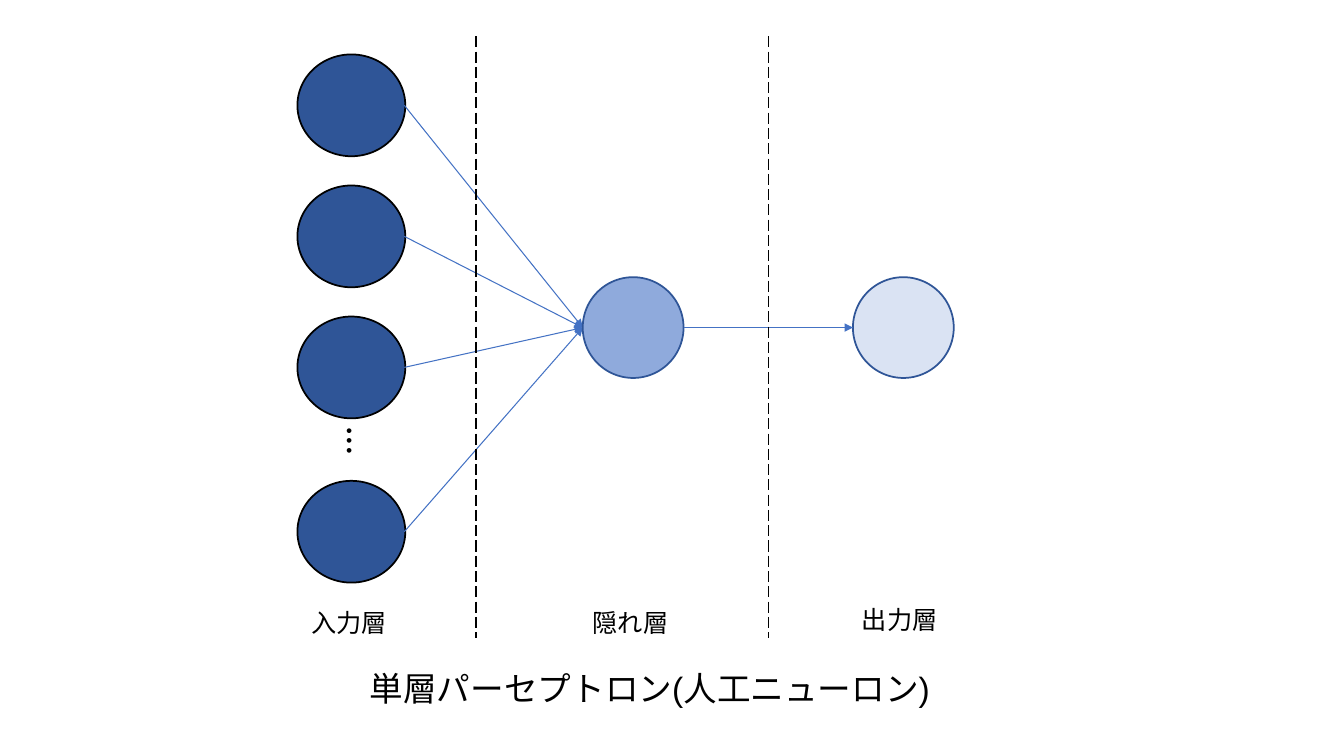
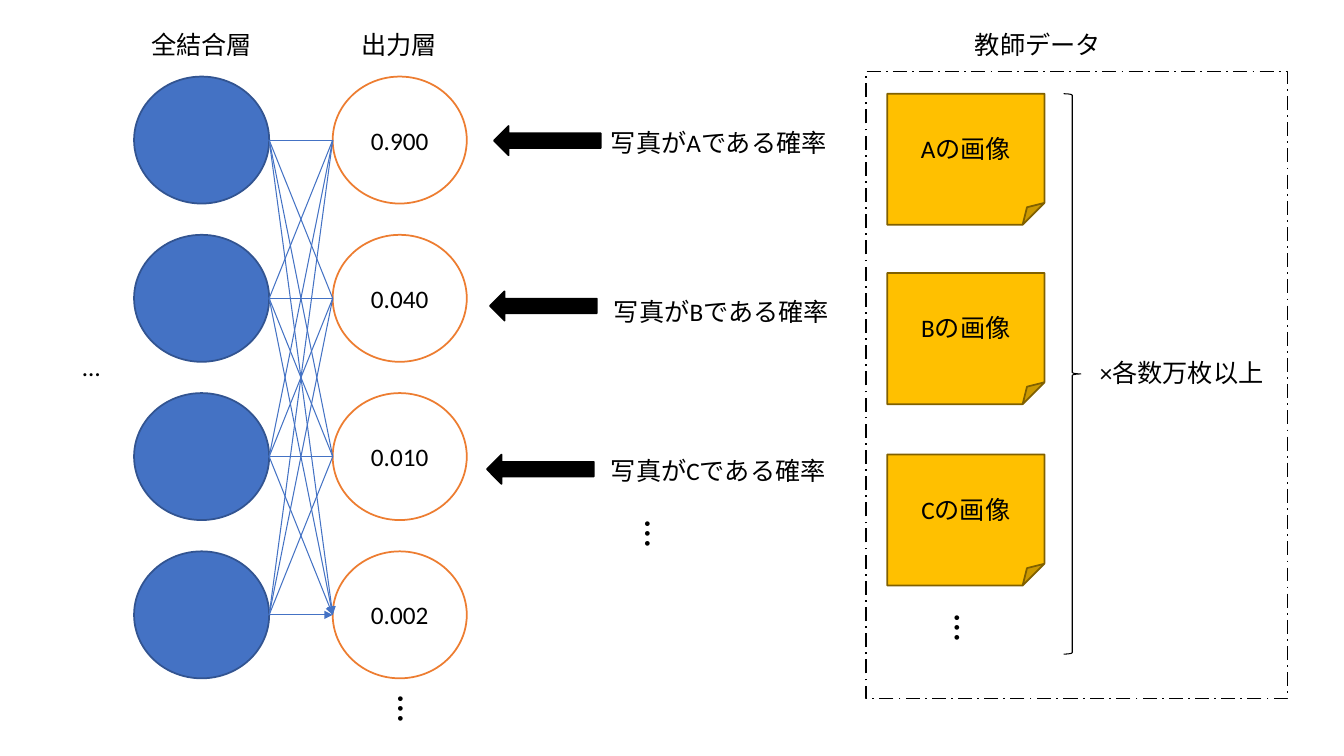
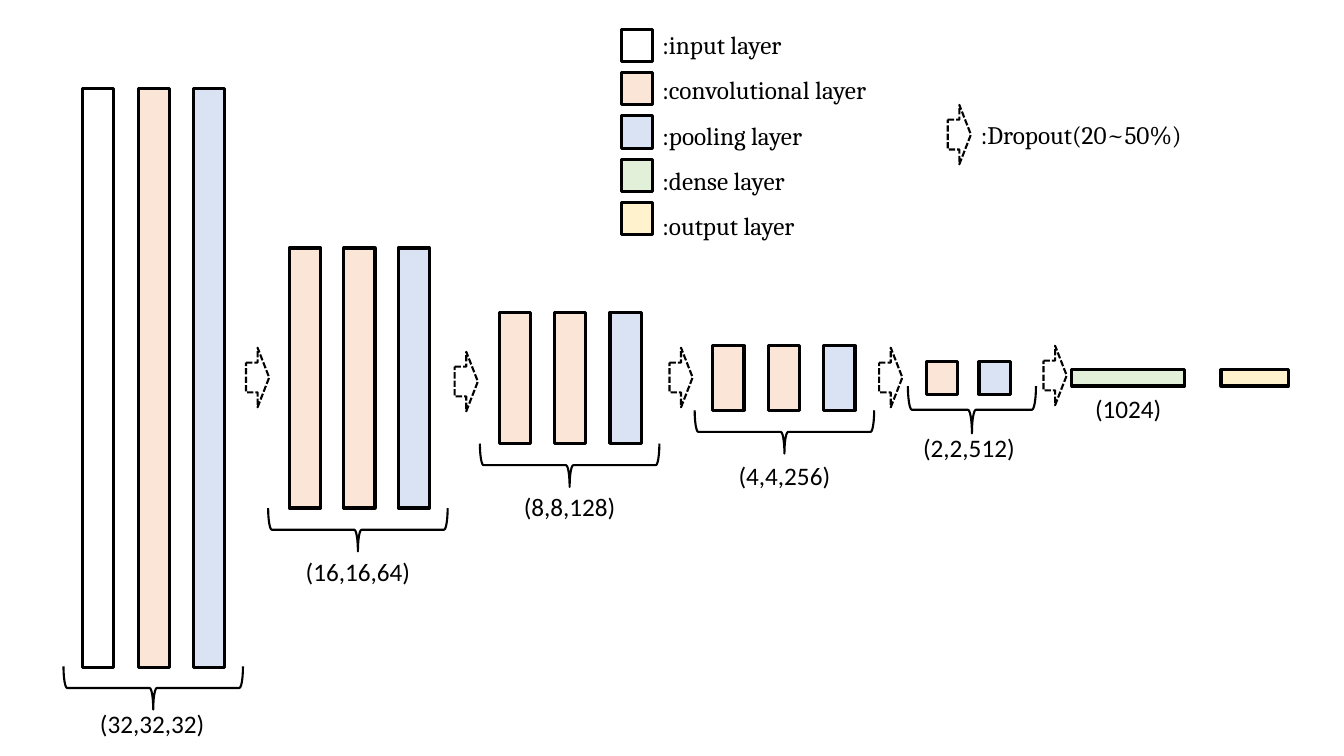
from lxml.etree import SubElement
from pptx import Presentation
from pptx.dml.color import RGBColor
from pptx.enum.dml import MSO_LINE as Dash
from pptx.enum.shapes import MSO_CONNECTOR, MSO_SHAPE as Shape
from pptx.enum.text import MSO_ANCHOR as Anchor, MSO_AUTO_SIZE, PP_ALIGN as Align
from pptx.oxml.ns import qn
from pptx.util import Pt

PX = 9144
BLACK, WHITE, BLUE, NAVY = "000000", "FFFFFF", "4472C4", "2F5597"
PEACH, PALE_BLUE, GREEN, YELLOW = "FBE5D6", "DAE3F3", "E2F0D9", "FFF2CC"
ASIAN_FONT = "Noto Sans CJK JP"

CAPTION = "単層パーセプトロン(人工ニューロン)"
INPUT_TOPS = [54, 184, 314, 477]
LAYER_NAMES = [("入力層", 299, 598), ("隠れ層", 578, 598), ("出力層", 845, 595)]
DIVIDERS = [472, 762]

PROBABILITIES = ["0.900", "0.040", "0.010", "0.002"]
ANSWERS = [
    ("写真がAである確率", 596, 121, 490, 125),
    ("写真がBである確率", 599, 289, 486, 289),
    ("写真がCである確率", 596, 447, 483, 451),
]
TEACHER_IMAGES = [("Aの画像", 93), ("Bの画像", 271), ("Cの画像", 451)]
MORE_MARKS = [(386, 676), (631, 503), (938, 596)]

STAGES = [
    dict(label="(32,32,32)", middle=151, label_top=698, left=82, step=55, height=574,
         fills=[WHITE, PEACH, PALE_BLUE], brace=(152, 661, 178, 43)),
    dict(label="(16,16,64)", middle=355, label_top=547, left=287, step=54, height=258,
         fills=[PEACH, PEACH, PALE_BLUE], brace=(355, 504, 178, 43)),
    dict(label="(8,8,128)", middle=565, label_top=483, left=495, step=55, height=130,
         fills=[PEACH, PEACH, PALE_BLUE], brace=(565, 440, 178, 43)),
    dict(label="(4,4,256)", middle=778, label_top=452, left=707, step=55, height=64,
         fills=[PEACH, PEACH, PALE_BLUE], brace=(778, 407, 178, 43)),
    dict(label="(2,2,512)", middle=961, label_top=424, left=919, step=52, height=32,
         fills=[PEACH, PALE_BLUE], brace=(964, 383, 127, 47)),
]
FLAT_LAYERS = [(1063, 112, GREEN), (1211, 67, YELLOW)]
DENSE_LABEL = ("(1024)", 1119, 385)
LEGEND = [
    (":input layer", WHITE), (":convolutional layer", PEACH), (":pooling layer", PALE_BLUE),
    (":dense layer", GREEN), (":output layer", YELLOW),
]
DROPOUT_LABEL = ":Dropout(20~50%)"
DROPOUTS = [(244, 345), (451, 349), (664, 345), (872, 345), (1035, 343), (940, 104)]
MID_Y, BAR_WIDTH = 375, 31


def px(*lengths):
    return [round(length * PX) for length in lengths]


def colour(value):
    return RGBColor.from_string(value)


def style_line(line, value, width, dash=None):
    line.color.rgb = colour(value)
    line.width = Pt(width)
    if dash:
        line.dash_style = dash


def write(frame, lines, size=18, font="Calibri", align=Align.LEFT, spacing=None):
    for i, words in enumerate(lines):
        paragraph = frame.paragraphs[0] if i == 0 else frame.add_paragraph()
        paragraph.alignment = align
        if spacing:
            paragraph.line_spacing = spacing
        run = paragraph.add_run()
        run.text = words
        run.font.size = Pt(size)
        run.font.name = font
        run.font.color.rgb = colour(BLACK)
        SubElement(run.font._element, qn("a:ea"), typeface=ASIAN_FONT)


def shape(slide, kind, box, fill, line, width=1.25, dash=None, words=None, turn=0):
    item = slide.shapes.add_shape(kind, *px(*box))
    item.shadow.inherit = False
    item.rotation = turn
    if fill:
        item.fill.solid()
        item.fill.fore_color.rgb = colour(fill)
    else:
        item.fill.background()
    style_line(item.line, line, width, dash)
    if words:
        item.text_frame.vertical_anchor = Anchor.MIDDLE
        write(item.text_frame, [words], align=Align.CENTER)
    return item


def label(slide, box, *lines, turn=0, anchor=Anchor.TOP, **style):
    item = slide.shapes.add_textbox(*px(*box))
    item.rotation = turn
    frame = item.text_frame
    frame.word_wrap = True
    frame.auto_size = MSO_AUTO_SIZE.SHAPE_TO_FIT_TEXT
    frame.vertical_anchor = anchor
    write(frame, lines, **style)


def connect(slide, start, end, value=BLUE, width=0.75, dash=None, arrow=False):
    item = slide.shapes.add_connector(MSO_CONNECTOR.STRAIGHT, *px(*start, *end))
    style_line(item.line, value, width, dash)
    if arrow:
        SubElement(item.line._get_or_add_ln(), qn("a:tailEnd"), type="triangle")
    SubElement(item._element.spPr, qn("a:effectLst"))


def perceptron(slide):
    for top in INPUT_TOPS:
        shape(slide, Shape.OVAL, (295, top, 107, 101), NAVY, BLACK)
        connect(slide, (401, top + 50.5), (578, 325), arrow=True)
    for left, fill in [(578, "8FAADC"), (846, PALE_BLUE)]:
        shape(slide, Shape.OVAL, (left, 275, 100, 100), fill, NAVY)
    connect(slide, (678, 325), (846, 325), arrow=True)
    for x in DIVIDERS:
        connect(slide, (x, 36), (x, 633), BLACK, 1, Dash.LONG_DASH)
    for name, left, top in LAYER_NAMES:
        label(slide, (left, top, 103, 40), name, font=ASIAN_FONT)
    label(slide, (328, 417, 63, 57), "…", turn=90, size=28)
    label(slide, (277, 658, 735, 50), CAPTION, size=24, font="Arial", align=Align.CENTER)


def classifier(slide):
    shape(slide, Shape.RECTANGLE, (859, 71, 418, 622), WHITE, BLACK, dash=Dash.LONG_DASH_DOT)
    label(slide, (118, 24, 164, 40), "全結合層", align=Align.CENTER)
    label(slide, (339, 24, 114, 40), "出力層", align=Align.CENTER)
    label(slide, (957, 24, 164, 40), "教師データ")
    label(slide, (72, 344, 61, 40), "…")

    tops = [76 + 157 * row for row in range(len(PROBABILITIES))]
    for top, probability in zip(tops, PROBABILITIES):
        shape(slide, Shape.OVAL, (133, top, 134, 126), BLUE, "325491")
        shape(slide, Shape.OVAL, (330, top, 133, 126), WHITE, "ED7D31", words=probability)
    for start in tops:
        for end in tops:
            connect(slide, (267, start + 63), (330, end + 63), arrow=end == tops[-1])

    for answer, left, top, arrow_left, arrow_top in ANSWERS:
        shape(slide, Shape.LEFT_ARROW, (arrow_left, arrow_top, 106, 29), BLACK, BLACK)
        label(slide, (left, top, 239, 40), answer)
    for name, top in TEACHER_IMAGES:
        shape(slide, Shape.FOLDED_CORNER, (880, top, 156, 130), "FFC000", "806000", words=name)
    shape(slide, Shape.RIGHT_BRACE, (1055, 93, 17, 556), None, BLACK, 0.75)
    label(slide, (1081, 350, 219, 40), "×各数万枚以上")
    for left, top in MORE_MARKS:
        label(slide, (left, top, 49, 57), "…", turn=90, anchor=Anchor.MIDDLE, size=28)


def network(slide):
    def layer(left, top, width, height, fill):
        shape(slide, Shape.RECTANGLE, (left, top, width, height), fill, BLACK, 2.25)

    def size_label(words, middle, top):
        label(slide, (middle - 104, top, 208, 40), words, align=Align.CENTER)

    for stage in STAGES:
        height = stage["height"]
        for i, fill in enumerate(stage["fills"]):
            layer(stage["left"] + i * stage["step"], MID_Y - height / 2, BAR_WIDTH, height, fill)
        middle, top, length, depth = stage["brace"]
        box = (middle - depth / 2, top + depth / 2 - length / 2, depth, length)
        shape(slide, Shape.LEFT_BRACE, box, None, BLACK, 1.5, turn=270)
        size_label(stage["label"], stage["middle"], stage["label_top"])
    for left, width, fill in FLAT_LAYERS:
        layer(left, MID_Y - 8, width, 16, fill)
    size_label(*DENSE_LABEL)

    for i, (_, fill) in enumerate(LEGEND):
        layer(616, 29 + 43 * i, BAR_WIDTH, 32, fill)
    label(slide, (647, 9, 262, 233), *[name for name, _ in LEGEND], font="Cambria", spacing=1.5)
    for left, top in DROPOUTS:
        shape(slide, Shape.RIGHT_ARROW, (left, top, 23, 59), WHITE, BLACK, 1.5, Dash.SQUARE_DOT)
    label(slide, (963, 113, 303, 40), DROPOUT_LABEL, font="Cambria")


def main():
    """Build three slides on neural network structure."""
    deck = Presentation()
    deck.slide_width, deck.slide_height = px(1333, 750)
    for draw in (perceptron, classifier, network):
        draw(deck.slides.add_slide(deck.slide_layouts[6]))
    deck.save("out.pptx")


if __name__ == "__main__":
    main()
